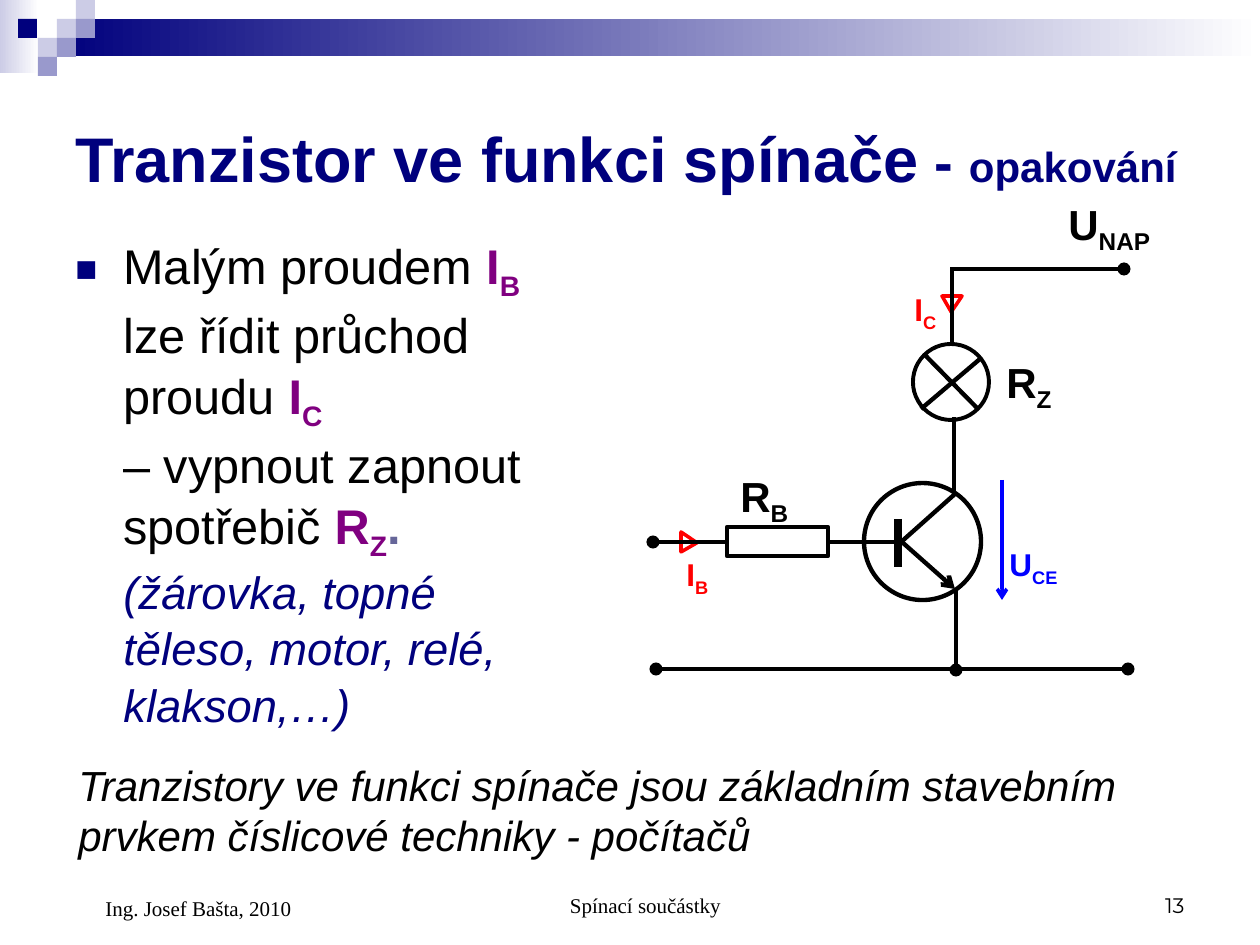
from lxml import etree
from pptx import Presentation, util as u
from pptx.dml.color import RGBColor
from pptx.enum import shapes, text
from pptx.oxml.ns import qn

PX = u.Inches(1) / 126
COLORS = {
    "navy": "00007D", "lilac": "9999CC", "pale": "CCCCE6", "white": "FFFFFF",
    "black": "000000", "purple": "800080", "slate": "666699",
    "red": "FF0000", "blue": "0000FF",
}
RGB = {name: RGBColor.from_string(value) for name, value in COLORS.items()}
KIND = shapes.MSO_SHAPE
ALIGN = text.PP_ALIGN
ANCHOR = text.MSO_ANCHOR

deck = Presentation()
deck.slide_width, deck.slide_height = u.Inches(10), u.Inches(7.5)
slide = deck.slides.add_slide(deck.slide_layouts[6])


def draw(kind, box, fill=None, line=None, width=2.5):
    """Add a preset shape; fill is a colour name or a pair for a gradient."""
    shape = slide.shapes.add_shape(kind, *(round(v * PX) for v in box))
    shape.shadow.inherit = False
    if fill is None:
        shape.fill.background()
    elif isinstance(fill, tuple):
        shape.fill.gradient()
        shape.fill.gradient_angle = 0
        for stop, name, position in zip(shape.fill.gradient_stops, fill, (0, 1)):
            stop.color.rgb, stop.position = RGB[name], position
    else:
        shape.fill.solid()
        shape.fill.fore_color.rgb = RGB[fill]
    if line:
        shape.line.color.rgb, shape.line.width = RGB[line], u.Pt(width)
    else:
        shape.line.fill.background()
    return shape


def write(box, runs, font="Arial", align=ALIGN.LEFT, anchor=ANCHOR.TOP):
    """Add a text box of (text, size, colour, style) runs.

    Style letters: b bold, i italic, s subscript; None is a line break.
    """
    frame = slide.shapes.add_textbox(*(round(v * PX) for v in box)).text_frame
    frame.word_wrap, frame.vertical_anchor = True, anchor
    paragraph = frame.paragraphs[0]
    paragraph.alignment = align
    for part in runs:
        if part is None:
            paragraph.add_line_break()
            continue
        words, size, color, style = part
        run = paragraph.add_run()
        run.text = words
        run.font.name, run.font.size = font, u.Pt(size)
        run.font.color.rgb = RGB[color]
        run.font.bold, run.font.italic = "b" in style, "i" in style
        if "s" in style:
            run.font._element.set("baseline", "-25000")
    return paragraph


# Header band and its mosaic of squares
draw(KIND.RECTANGLE, (0, 0, 39, 73), ("pale", "white"))
draw(KIND.RECTANGLE, (57, 19, 1203, 37), ("navy", "white"))
for left, top, color in [
    (57, 19, "pale"), (76, 0, "pale"), (76, 19, "lilac"), (38, 38, "pale"),
    (18, 19, "navy"), (57, 38, "lilac"), (38, 57, "lilac"),
]:
    draw(KIND.RECTANGLE, (left, top, 19, 19), color)

# Title
write((63, 63, 1134, 189), [
    ("Tranzistor ve funkci spínače", 36, "navy", "b"),
    (" - ", 32, "navy", "b"),
    ("opakování", 24, "navy", "b"),
], anchor=ANCHOR.MIDDLE)

# Explanation with its square bullet
explanation = write((63, 227, 524, 513), [
    ("Malým proudem ", 27.8, "black", ""),
    ("I", 27.8, "purple", "b"), ("B", 27.8, "purple", "bs"),
    (" lze řídit průchod proudu ", 27.8, "black", ""),
    ("I", 27.8, "purple", "b"), ("C", 27.8, "purple", "bs"), None,
    ("– vypnout zapnout spotřebič ", 27.8, "black", ""),
    ("R", 27.8, "purple", "b"), ("Z", 27.8, "purple", "bs"),
    (".", 27.8, "slate", "b"), None,
    ("(žárovka, topné těleso, motor, relé, klakson,…)", 25.9, "navy", "i"),
])
bullet = explanation._p.get_or_add_pPr()
bullet.set("marL", str(round(48 * PX)))
bullet.set("indent", str(round(-48 * PX)))
bullet_color = etree.SubElement(bullet, qn("a:buClr"))
etree.SubElement(bullet_color, qn("a:srgbClr"), val=COLORS["navy"])
etree.SubElement(bullet, qn("a:buSzPct"), val="75000")
etree.SubElement(bullet, qn("a:buFont"), typeface="Arial")
etree.SubElement(bullet, qn("a:buChar"), char="■")
explanation.line_spacing = 1.04

# Circuit parts: base resistor, transistor, lamp, current arrows
draw(KIND.RECTANGLE, (727, 527, 101, 29), line="black")
draw(KIND.OVAL, (864, 483, 117, 117), line="black")
draw(KIND.OVAL, (913, 344, 76, 76), line="black", width=2.25)
for left, top, turn in [(679, 534, 90), (942, 296, 180)]:
    current = draw(KIND.ISOSCELES_TRIANGLE, (left, top, 20, 16), line="red", width=2)
    current.adjustments[0] = 0.54
    current.rotation = turn

# Wires: start, end, colour, width, line ends
for start, end, color, width, ends in [
    ((656, 669), (1128, 669), "black", 2.5, {"headEnd": "oval", "tailEnd": "oval"}),
    ((951, 269), (1124, 269), "black", 2.5, {"tailEnd": "oval"}),
    ((653, 542), (729, 542), "black", 2.5, {"headEnd": "oval"}),
    ((956, 670), (956, 590), "black", 2.5, {"headEnd": "oval"}),
    ((954, 492), (954, 417), "black", 2.5, {}),
    ((952, 344), (952, 267), "black", 2.5, {}),
    ((828, 542), (897, 542), "black", 2.5, {}),
    # Transistor base, collector and emitter
    ((898, 519), (898, 567), "black", 5, {}),
    ((900, 543), (955, 494), "black", 2.5, {}),
    ((902, 542), (955, 589), "black", 2.5, {"tailEnd": "arrow"}),
    # Lamp cross
    ((978, 409), (924, 354), "black", 2.5, {}),
    ((980, 359), (921, 409), "black", 2.5, {}),
    # Collector-emitter voltage
    ((1002, 480), (1002, 600), "blue", 2, {"tailEnd": "arrow"}),
]:
    wire = slide.shapes.add_connector(
        shapes.MSO_CONNECTOR.STRAIGHT, *(round(v * PX) for v in start + end))
    wire.line.color.rgb, wire.line.width = RGB[color], u.Pt(width)
    outline = wire.line._get_or_add_ln()
    for tag, form in ends.items():
        etree.SubElement(outline, qn("a:" + tag), type=form)
    etree.SubElement(wire._element.spPr, qn("a:effectLst"))

# Circuit labels
for box, symbol, index, size, color in [
    ((902, 284, 53, 55), "I", "C", 18, "red"),
    ((674, 549, 53, 55), "I", "B", 18, "red"),
    ((997, 539, 86, 55), "U", "CE", 18, "blue"),
    ((1056, 192, 122, 71), "U", "NAP", 24, "black"),
    ((728, 464, 88, 71), "R", "B", 24, "black"),
    ((994, 350, 88, 71), "R", "Z", 24, "black"),
]:
    write(box, [(symbol, size, color, "b"), (index, size, color, "bs")])

# Conclusion
write((66, 753, 1138, 113), [(
    "Tranzistory ve funkci spínače jsou základním stavebním prvkem "
    "číslicové techniky - počítačů", 24, "black", "i")])

# Footer: author, topic, slide number
for box, words, font, align, margin in [
    ((63, 861, 294, 66), "Ing. Josef Bašta, 2010", "Times New Roman", ALIGN.LEFT, 30),
    ((431, 861, 399, 63), "Spínací součástky", "Times New Roman", ALIGN.CENTER, 30),
    ((903, 861, 294, 63), "13", "Montserrat", ALIGN.RIGHT, 0),
]:
    footer = write(box, [(words, 12, "black", "")], font, align, ANCHOR.BOTTOM)
    footer._p.get_or_add_pPr().set("marL", str(round(margin * PX)))

deck.save("out.pptx")
